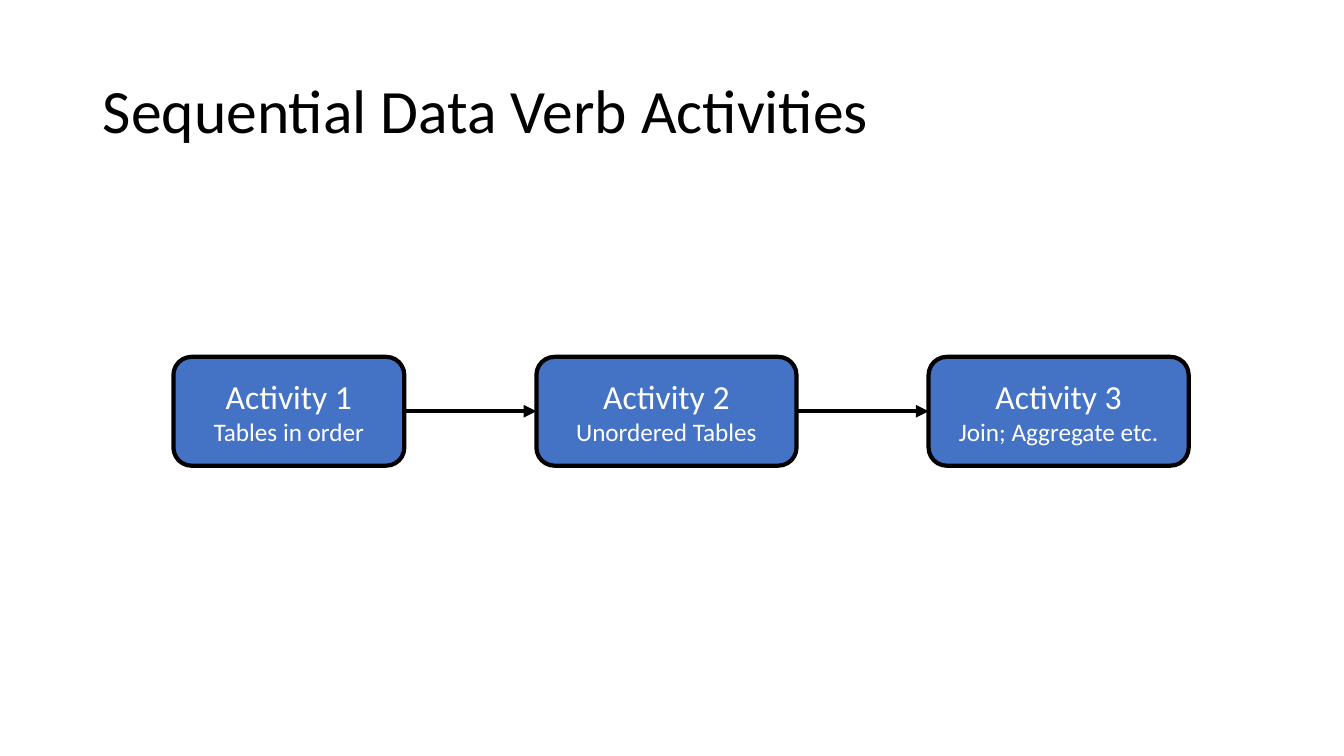
from lxml.etree import SubElement
from pptx import Presentation
from pptx.dml.color import RGBColor
from pptx.enum.shapes import MSO_CONNECTOR, MSO_SHAPE
from pptx.enum.text import MSO_ANCHOR, PP_ALIGN
from pptx.oxml.ns import qn
from pptx.util import Inches, Pt

TITLE = "Sequential Data Verb Activities"
# heading, detail, box width
ACTIVITIES = [
    ("Activity 1", "Tables in order", 2.29),
    ("Activity 2", "Unordered Tables", 2.58),
    ("Activity 3", "Join; Aggregate etc.", 2.58),
]
FIRST_LEFT, TOP, HEIGHT, GAP = 1.72, 3.54, 1.08, 1.31
FONT, BLUE, BLACK, WHITE = "Calibri", "4472C4", "000000", "FFFFFF"
LINE_WIDTH = 3
RIGHT_SIDE, LEFT_SIDE = 3, 1


def color(hex_code):
    return RGBColor.from_string(hex_code)


def write(paragraph, text, *, size, fill, align, spacing=None):
    paragraph.alignment = align
    paragraph.line_spacing = spacing
    run = paragraph.add_run()
    run.text = text
    run.font.name = FONT
    run.font.size = Pt(size)
    run.font.color.rgb = color(fill)


def style_line(line):
    line.color.rgb = color(BLACK)
    line.width = Pt(LINE_WIDTH)


def add_activity(slide, heading, detail, left, width):
    box = slide.shapes.add_shape(
        MSO_SHAPE.ROUNDED_RECTANGLE,
        Inches(left), Inches(TOP), Inches(width), Inches(HEIGHT))
    box.shadow.inherit = False
    box.fill.solid()
    box.fill.fore_color.rgb = color(BLUE)
    style_line(box.line)
    frame = box.text_frame
    frame.word_wrap = True
    frame.vertical_anchor = MSO_ANCHOR.MIDDLE
    write(frame.paragraphs[0], heading, size=24, fill=WHITE, align=PP_ALIGN.CENTER)
    write(frame.add_paragraph(), detail, size=18, fill=WHITE, align=PP_ALIGN.CENTER)
    return box


def add_arrow(slide, source, target):
    arrow = slide.shapes.add_connector(MSO_CONNECTOR.STRAIGHT, 0, 0, 0, 0)
    arrow.begin_connect(source, RIGHT_SIDE)
    arrow.end_connect(target, LEFT_SIDE)
    style_line(arrow.line)
    SubElement(arrow.line._get_or_add_ln(), qn("a:tailEnd"), type="triangle")
    SubElement(arrow._element.spPr, qn("a:effectLst"))


def main():
    deck = Presentation()
    deck.slide_width, deck.slide_height = Inches(13.33), Inches(7.5)
    slide = deck.slides.add_slide(deck.slide_layouts[5])

    title = slide.shapes.title
    title.left, title.top = Inches(0.92), Inches(0.4)
    title.width, title.height = Inches(11.5), Inches(1.45)
    title.text_frame.vertical_anchor = MSO_ANCHOR.MIDDLE
    write(title.text_frame.paragraphs[0], TITLE, size=44, fill=BLACK,
          align=PP_ALIGN.LEFT, spacing=0.9)

    boxes = []
    left = FIRST_LEFT
    for heading, detail, width in ACTIVITIES:
        boxes.append(add_activity(slide, heading, detail, left, width))
        left += width + GAP

    for source, target in zip(boxes, boxes[1:]):
        add_arrow(slide, source, target)

    deck.save("out.pptx")


if __name__ == "__main__":
    main()
